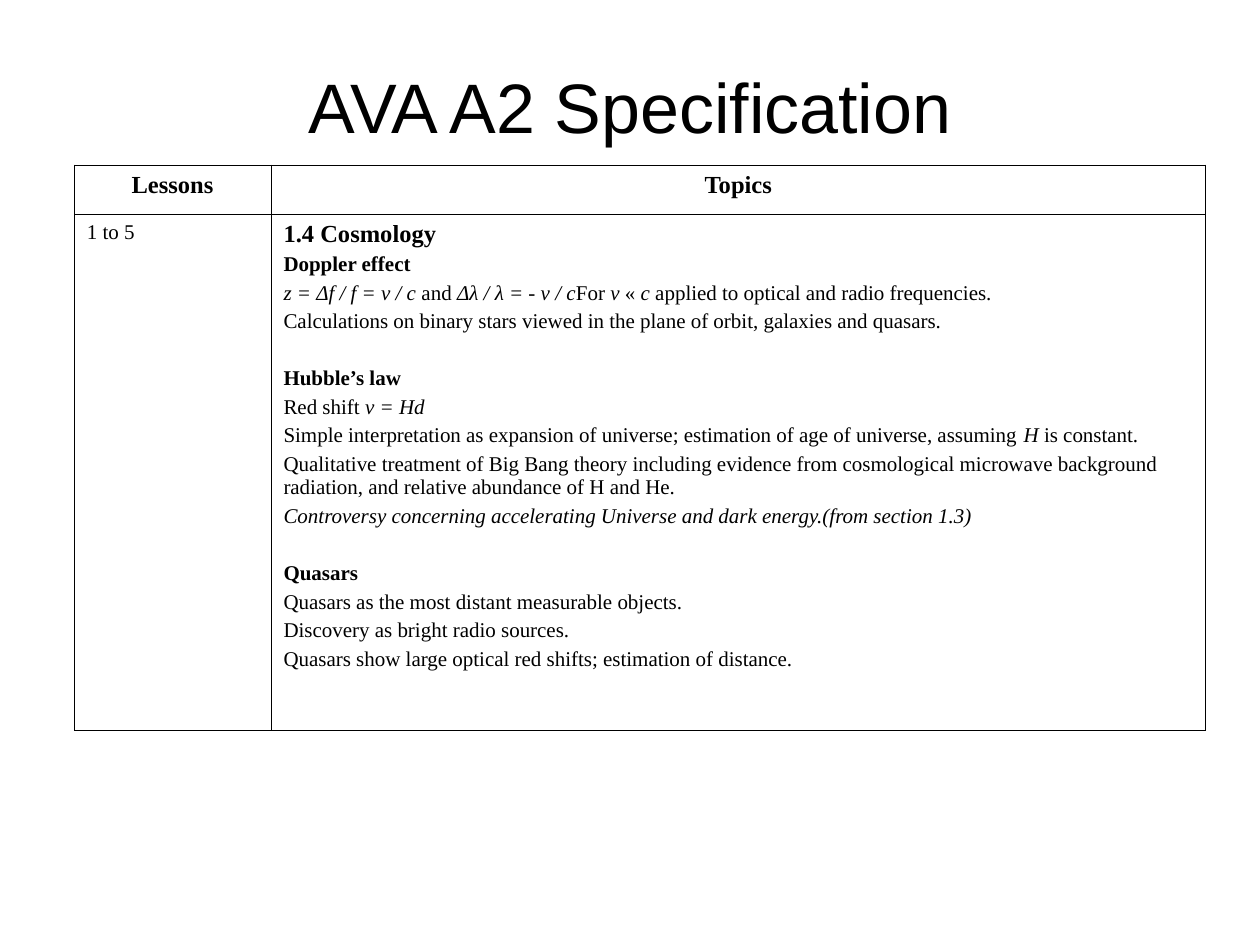
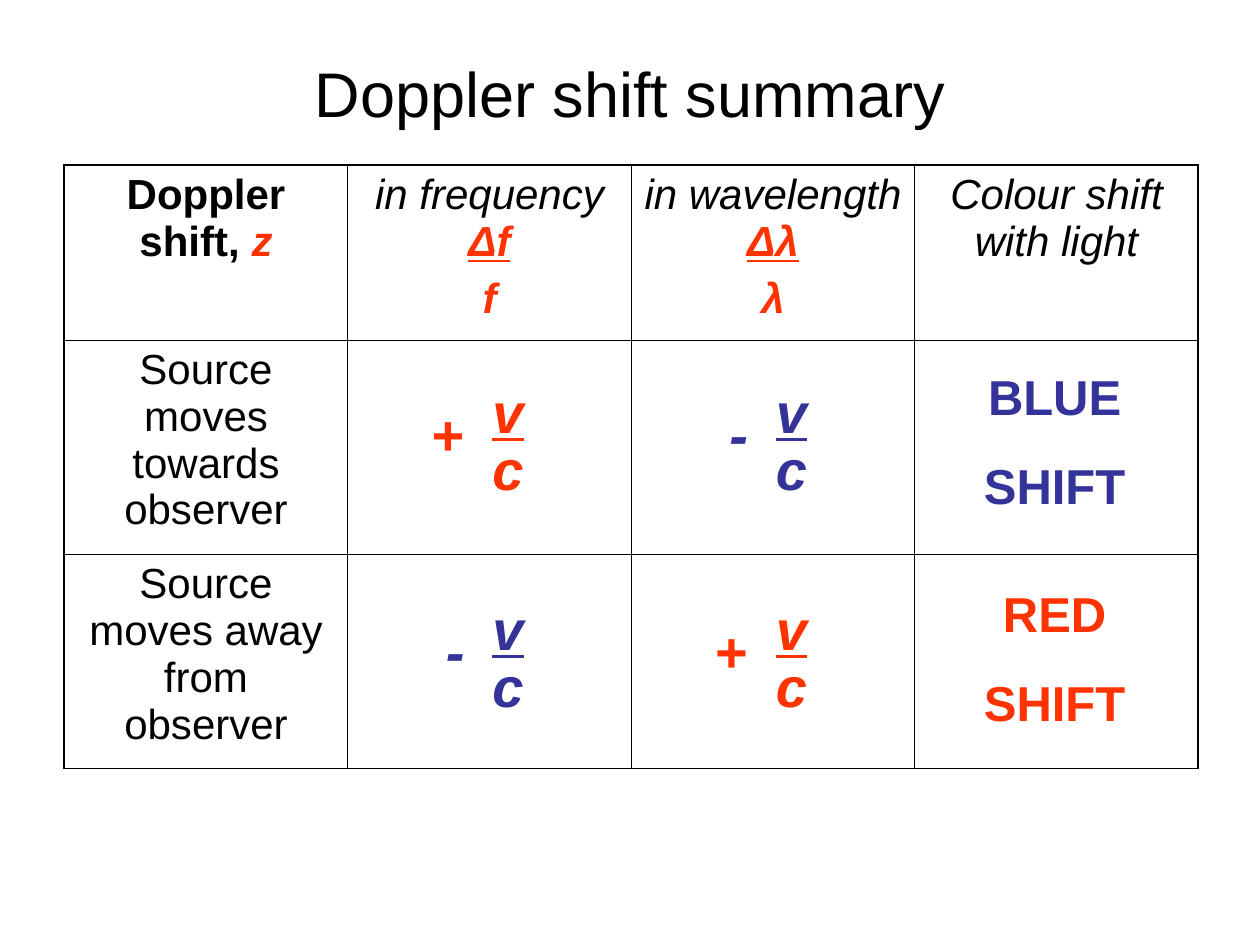
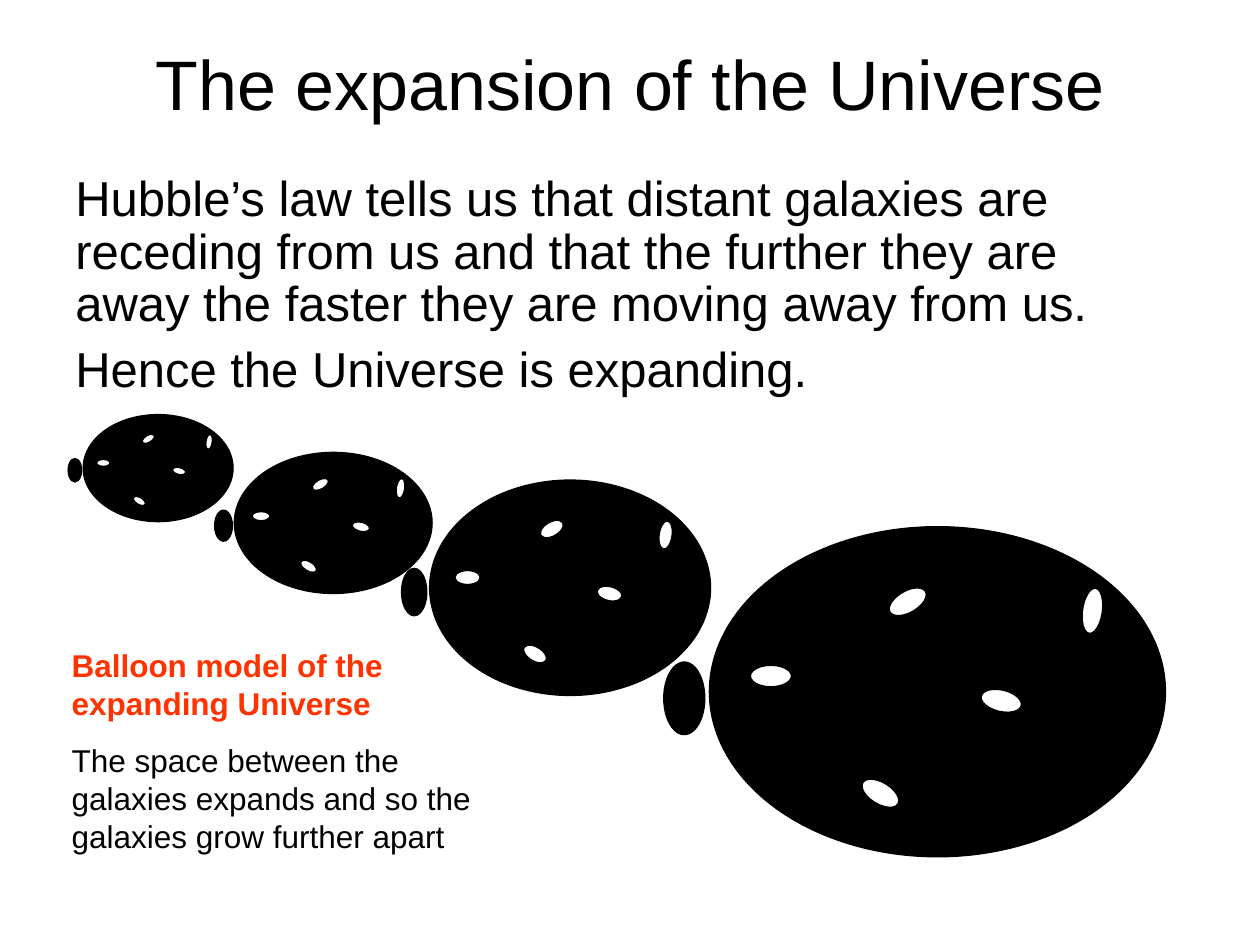
from dataclasses import dataclass

from lxml.etree import SubElement
from pptx import Presentation
from pptx.dml.color import RGBColor
from pptx.enum.shapes import MSO_SHAPE
from pptx.enum.text import MSO_ANCHOR, PP_ALIGN
from pptx.oxml.ns import qn
from pptx.util import Inches, Pt

BLACK = RGBColor(0x00, 0x00, 0x00)
WHITE = RGBColor(0xFF, 0xFF, 0xFF)
RED = RGBColor(0xFF, 0x33, 0x00)
NAVY = RGBColor(0x33, 0x33, 0x99)
SANS, SERIF = "Arial", "Times New Roman"
THIN, THICK = 0.45, 1.08


@dataclass
class Para:
    """Runs are (text, marks); marks: b bold, i italic, u underline, r red, n navy."""
    runs: list
    size: float
    gap: float = 0
    align: PP_ALIGN = PP_ALIGN.LEFT
    face: str = SANS
    lead: float = None


def plain(text, size, marks="", **more):
    return Para([(text, marks)], size, **more)


def note(*runs, size=12, gap=3):
    return Para(runs, size, gap, face=SERIF)


def mid(*runs, size=24, gap=6, face=SANS):
    return Para(runs, size, gap, PP_ALIGN.CENTER, face)


BREAK = 19.3  # space above a new topic
TOPICS = [
    note(("1.4 Cosmology", "b"), size=14),
    note(("Doppler effect", "b")),
    note(("z = Δf / f = v / c", "i"), (" and ", ""), ("Δλ / λ = - v / c", "i"),
         ("For ", ""), ("v ", "i"), ("« ", ""), ("c ", "i"),
         ("applied to optical and radio frequencies.", "")),
    note(("Calculations on binary stars viewed in the plane of orbit, "
          "galaxies and quasars.", "")),
    note(("Hubble’s law", "b"), gap=BREAK),
    note(("Red shift ", ""), ("v = Hd", "i")),
    note(("Simple interpretation as expansion of universe; estimation of age "
          "of universe, assuming ", ""), ("H ", "i"), ("is constant.", "")),
    note(("Qualitative treatment of Big Bang theory including evidence from "
          "cosmological microwave background radiation, and relative "
          "abundance of H and He.", "")),
    note(("Controversy concerning accelerating Universe and dark energy."
          "(from section 1.3)", "i")),
    note(("Quasars", "b"), gap=BREAK),
    note(("Quasars as the most distant measurable objects.", "")),
    note(("Discovery as bright radio sources.", "")),
    note(("Quasars show large optical red shifts; estimation of distance.", "")),
]
LESSONS = [
    [[mid((head, "b"), size=14, face=SERIF)] for head in ("Lessons", "Topics")],
    [[note(("1 to 5", ""))], TOPICS],
]

SHIFTS = [
    [[mid(("Doppler shift, ", "b"), ("z", "bir"))],
     [mid(("in frequency ", "i"), ("Δf", "biur")), mid(("f", "bir"))],
     [mid(("in wavelength ", "i"), ("Δλ", "biur")), mid(("λ", "bir"))],
     [mid(("Colour shift with light", "i"))]],
    [[mid(("Source moves towards observer", ""))], [], [], []],
    [[mid(("Source moves away from observer", ""))], [], [], []],
]
SIGNS = ["+-", "-+"]  # one row per motion, one column per quantity
COLOURS = [("BLUE", "n"), ("RED", "r")]

HUBBLE = [
    "Hubble’s law tells us that distant galaxies are receding from us and that "
    "the further they are away the faster they are moving away from us.",
    "Hence the Universe is expanding.",
]
MODEL = [("Balloon model of the expanding Universe", "br"),
         ("The space between the galaxies expands and so the galaxies grow "
          "further apart", "")]
BALLOONS = [(0.66, 3.29, 1.19, 0.85), (1.86, 3.59, 1.57, 1.12),
            (3.41, 3.81, 2.23, 1.71), (5.63, 4.18, 3.62, 2.62)]
# Shares of the balloon: left, top, width, height; then turn and fill
SPOTS = [
    (0, 0, 1, 1, 0, BLACK),
    (-0.1, 0.41, 0.09, 0.22, 0, BLACK),
    (0.09, 0.42, 0.09, 0.065, 0, WHITE),
    (0.39, 0.195, 0.09, 0.065, 329.9, WHITE),
    (0.33, 0.775, 0.09, 0.065, 31.4, WHITE),
    (0.595, 0.495, 0.09, 0.065, 13.4, WHITE),
    (0.79, 0.225, 0.1, 0.06, 278.1, WHITE),
]


def mark(font, marks):
    if "b" in marks:
        font.bold = True
    if "i" in marks:
        font.italic = True
    if "u" in marks:
        font.underline = True
    if "r" in marks:
        font.color.rgb = RED
    if "n" in marks:
        font.color.rgb = NAVY


def write(frame, paras):
    for num, para in enumerate(paras):
        line = frame.add_paragraph() if num else frame.paragraphs[0]
        line.alignment = para.align
        if num:
            line.space_before = Pt(para.gap)
        if para.lead:
            line.line_spacing = para.lead
        line.font.name, line.font.size = para.face, Pt(para.size)
        line.font.color.rgb = BLACK
        shared = set.intersection(*(set(marks) for _, marks in para.runs))
        mark(line.font, shared)
        for text, marks in para.runs:
            run = line.add_run()
            run.text = text
            mark(run.font, set(marks) - shared)


def add_text(shapes, box, paras, anchor=MSO_ANCHOR.TOP):
    frame = shapes.add_textbox(*map(Inches, box)).text_frame
    frame.word_wrap = True
    frame.vertical_anchor = anchor
    write(frame, paras)


def add_title(slide, text, top, height, size=40):
    add_text(slide.shapes, (0.5, top, 9, height), [mid((text, ""), size=size)],
             MSO_ANCHOR.MIDDLE)


def add_edge(cell, side, width):
    props = cell._tc.get_or_add_tcPr()
    edge = SubElement(props, qn("a:ln" + side), w=str(Pt(width)))
    fill = SubElement(edge, qn("a:solidFill"))
    SubElement(fill, qn("a:srgbClr"), val=str(BLACK))


def add_grid(slide, left, top, cols, rows, cells, rim):
    table = slide.shapes.add_table(
        len(rows), len(cols), Inches(left), Inches(top),
        Inches(sum(cols)), Inches(sum(rows))).table
    table.first_row = table.horz_banding = False
    for col, width in zip(table.columns, cols):
        col.width = Inches(width)
    for row, height in zip(table.rows, rows):
        row.height = Inches(height)
    for r, line in enumerate(cells):
        for c, paras in enumerate(line):
            cell = table.cell(r, c)
            outer = {"L": c == 0, "R": c == len(cols) - 1,
                     "T": r == 0, "B": r == len(rows) - 1}
            for side, out in outer.items():
                add_edge(cell, side, rim if out else THIN)
            cell.fill.solid()
            cell.fill.fore_color.rgb = WHITE
            write(cell.text_frame, paras)


def add_ratio(slide, left, top, sign):
    """Signed v over c, placed by the left and top of its v."""
    tint = "r" if sign == "+" else "n"
    shift = 0.49 if sign == "+" else 0.37
    group = slide.shapes.add_group_shape().shapes
    for text, dx, dy, width, extra in [(sign, -shift, 0.17, 0.42, ""),
                                       ("v", 0, 0, 0.58, "u"),
                                       ("c", 0, 0.45, 0.42, "")]:
        add_text(group, (left + dx, top + dy, width, 0.64),
                 [plain(text, 32, "bi" + tint + extra)])


def add_balloon(slide, left, top, width, height):
    group = slide.shapes.add_group_shape().shapes
    for x, y, w, h, turn, tint in SPOTS:
        spot = group.add_shape(
            MSO_SHAPE.OVAL, Inches(left + x * width), Inches(top + y * height),
            Inches(w * width), Inches(h * height))
        spot.rotation = turn
        spot.shadow.inherit = False
        spot.fill.solid()
        spot.fill.fore_color.rgb = tint
        spot.line.color.rgb = BLACK
        spot.line.width = Pt(0.75)


def show_topics(slide):
    add_title(slide, "AVA A2 Specification", 0.21, 1.25)
    add_grid(slide, 0.59, 1.31, [1.56, 7.42], [0.39, 4.1], LESSONS, THIN)


def show_shifts(slide):
    add_title(slide, "Doppler shift summary", 0.3, 0.86, 36)
    wide, step = 2.25, 1.72
    add_grid(slide, 0.51, 1.31, [wide] * 4, [1.39, 1.7, 1.7], SHIFTS, THICK)
    for r, signs in enumerate(SIGNS):
        for c, sign in enumerate(signs):
            add_ratio(slide, 3.81 + c * wide, 2.95 + r * step, sign)
    for r, (name, tint) in enumerate(COLOURS):
        add_text(slide.shapes, (7.65, 2.86 + r * step, 1.44, 1.28),
                 [mid((word, "b" + tint), size=28, gap=17.5)
                  for word in (name, "SHIFT")])


def show_space(slide):
    add_title(slide, "The expansion of the Universe", 0.3, 0.71)
    add_text(slide.shapes, (0.5, 1.33, 9, 2.02),
             [plain(text, 28, gap=7, lead=0.9) for text in HUBBLE])
    for box in BALLOONS:
        add_balloon(slide, *box)
    add_text(slide.shapes, (0.47, 5.08, 3.57, 1.76),
             [plain(text, 18, marks, gap=11.2) for text, marks in MODEL])


def main():
    deck = Presentation()
    deck.slide_width, deck.slide_height = Inches(10), Inches(7.5)
    for show in (show_topics, show_shifts, show_space):
        show(deck.slides.add_slide(deck.slide_layouts[6]))
    deck.save("out.pptx")


if __name__ == "__main__":
    main()
